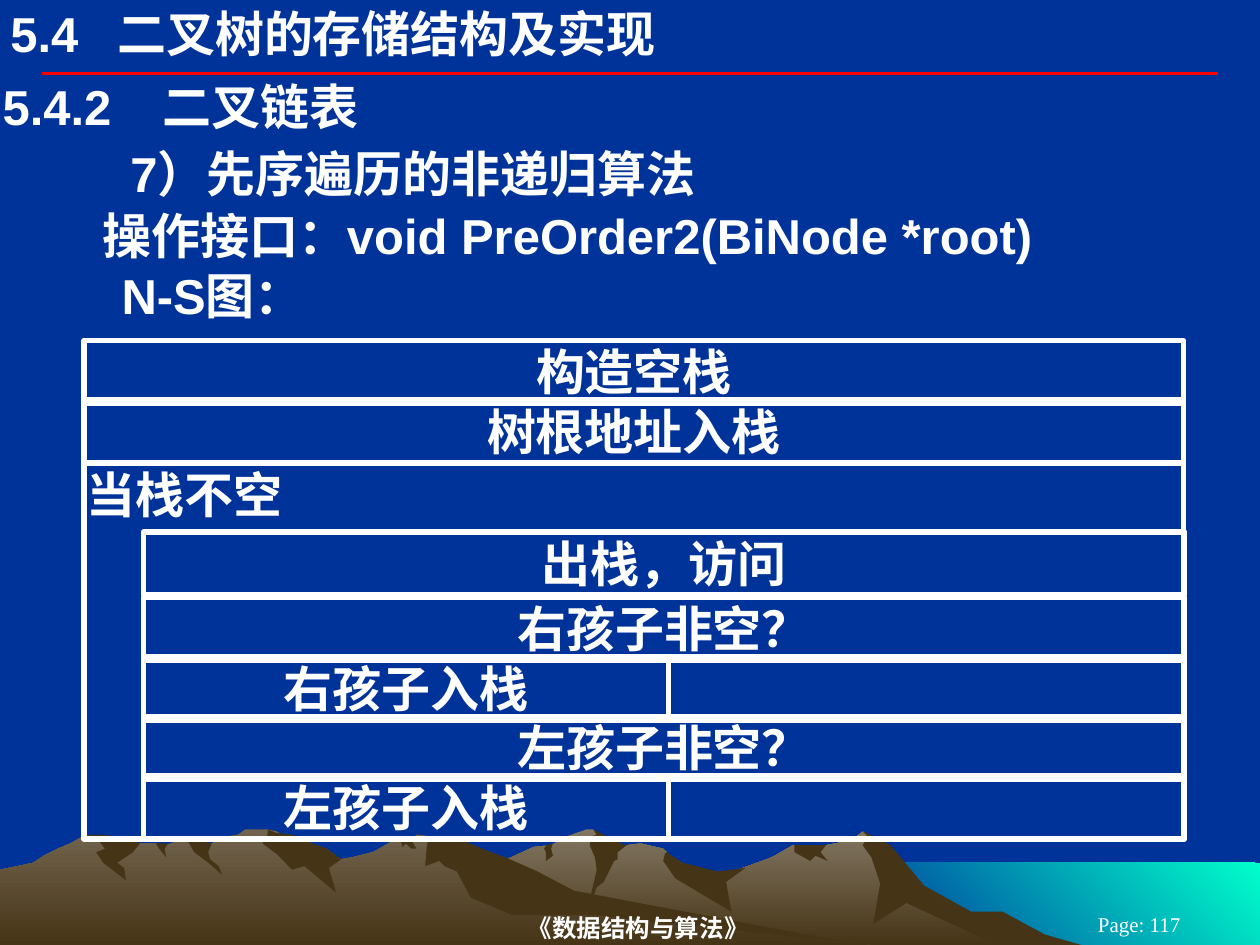
from lxml.etree import SubElement
from pptx import Presentation
from pptx.dml.color import RGBColor
from pptx.enum.shapes import MSO_CONNECTOR, MSO_SHAPE
from pptx.enum.text import MSO_ANCHOR, PP_ALIGN
from pptx.oxml.ns import qn
from pptx.util import Pt

NAVY = RGBColor(0x00, 0x33, 0x99)
AQUA = RGBColor(0x00, 0xFF, 0xCC)
WHITE = RGBColor(0xFF, 0xFF, 0xFF)
RED = RGBColor(0xFF, 0x00, 0x00)
BROWN = RGBColor(0x46, 0x34, 0x16)
STONE = RGBColor(0x83, 0x77, 0x63)
EARTH = RGBColor(0x72, 0x64, 0x4E)

EAST_MOUNTAIN = [
    (577, 533), (560, 523), (550, 521), (521, 503), (505, 483), (493, 475), (487, 480),
    (472, 483), (453, 483), (441, 490), (408, 502), (386, 497), (381, 487), (379, 485),
    (366, 482), (358, 483), (350, 485), (341, 476), (339, 474), (335, 474), (324, 478),
    (315, 483), (305, 484), (292, 490), (284, 493), (256, 503), (235, 510), (199, 532),
    (186, 540), (591, 540)]
EAST_SHADES = [
    [(573, 521), (555, 521), (528, 506), (509, 483), (493, 475), (496, 478), (493, 483),
     (498, 490), (503, 505), (499, 528), (518, 516), (570, 540), (618, 540), (597, 534)],
    [(339, 474), (341, 477), (338, 478), (337, 483), (340, 490), (341, 497), (335, 523),
     (341, 507), (345, 504), (351, 492), (353, 491), (353, 487), (358, 483), (355, 482)],
    [(381, 487), (380, 488), (379, 492), (386, 502), (418, 521), (415, 504), (426, 496),
     (410, 498), (390, 493)],
    [(468, 483), (454, 483), (454, 487), (463, 492), (466, 489), (473, 492), (469, 487),
     (472, 483)],
    [(312, 487), (311, 485), (312, 483), (316, 482), (315, 485), (316, 489), (312, 492)]]
WEST_MOUNTAIN = [
    (497, 540), (480, 539), (311, 513), (255, 479), (238, 477), (235, 481), (233, 481),
    (229, 478), (213, 487), (201, 490), (195, 491), (187, 487), (170, 490), (161, 477),
    (158, 475), (153, 474), (140, 474), (136, 477), (130, 478), (121, 482), (115, 483),
    (107, 480), (103, 480), (95, 483), (92, 483), (89, 482), (80, 482), (68, 483),
    (49, 477), (40, 482), (33, 485), (25, 489), (19, 493), (10, 495), (0, 497), (0, 540)]
WEST_SHADES = [
    [(153, 477), (150, 482), (158, 488), (167, 497), (174, 495), (192, 510), (188, 496),
     (195, 491), (187, 485), (176, 481), (167, 477), (158, 476), (153, 474)],
    [(266, 481), (255, 479), (248, 479), (244, 482), (243, 495), (251, 492), (254, 495),
     (261, 498), (269, 513), (293, 523), (340, 523), (497, 540), (492, 540), (328, 509),
     (307, 498), (289, 490), (278, 486)],
    [(229, 480), (230, 479), (229, 478), (235, 480), (238, 485), (235, 485), (232, 482),
     (230, 484)],
    [(111, 480), (121, 482), (119, 487), (120, 491), (125, 495), (127, 500), (119, 493),
     (111, 487), (107, 480)],
    [(96, 482), (94, 485), (95, 490), (91, 485), (89, 482)],
    [(78, 481), (80, 482), (76, 487), (67, 493), (71, 496), (72, 503), (59, 493),
     (55, 487), (60, 485), (57, 481), (50, 478), (50, 477), (60, 477)]]


class SlideBuilder:
    """Draws styled elements on one slide; all lengths are in points."""

    def __init__(self, slide):
        self.slide = slide
        slide.background.fill.solid()
        slide.background.fill.fore_color.rgb = NAVY

    def paint(self, shape, start, end=None, angle=0):
        """Fill with a plain colour, or a gradient at a clockwise angle."""
        shape.shadow.inherit = False
        shape.line.fill.background()
        if end is None:
            shape.fill.solid()
            shape.fill.fore_color.rgb = start
            return
        shape.fill.gradient()
        shape.fill.gradient_angle = 360 - angle
        for stop, color, position in zip(shape.fill.gradient_stops, (start, end), (0, 1)):
            stop.color.rgb = color
            stop.position = position

    def sea(self, left, top, width, height):
        shape = self.slide.shapes.add_shape(
            MSO_SHAPE.RECTANGLE, Pt(left), Pt(top), Pt(width), Pt(height))
        self.paint(shape, AQUA, NAVY, 135)

    def outline(self, points, start, end=None):
        corners = [(Pt(x), Pt(y)) for x, y in points]
        builder = self.slide.shapes.build_freeform(*corners[0])
        builder.add_line_segments(corners[1:], close=True)
        self.paint(builder.convert_to_shape(), start, end, 90)

    def mountain(self, points, shades, color):
        self.outline(points, color, BROWN)
        for shade in shades:
            self.outline(shade, BROWN)

    def rule(self, left, right, y):
        connector = self.slide.shapes.add_connector(
            MSO_CONNECTOR.STRAIGHT, Pt(left), Pt(y), Pt(right), Pt(y))
        connector.line.color.rgb = RED
        connector.line.width = Pt(2.25)
        SubElement(connector._element.spPr, qn("a:effectLst"))

    def set_text(self, shape, text, align, size=28, font="Arial", bold=True,
                 anchor=MSO_ANCHOR.TOP, indent=0, tab=None, right_inset=1.5):
        frame = shape.text_frame
        frame.word_wrap = True
        frame.vertical_anchor = anchor
        frame.margin_left, frame.margin_right = Pt(1.5), Pt(right_inset)
        frame.margin_top = frame.margin_bottom = Pt(0.7)
        paragraph = frame.paragraphs[0]
        paragraph.text = text
        paragraph.alignment = align
        properties = paragraph._p.get_or_add_pPr()
        if indent:
            properties.set("marL", str(Pt(indent)))
            properties.set("indent", "0")
        if tab:
            tabs = SubElement(properties, qn("a:tabLst"))
            SubElement(tabs, qn("a:tab"), pos=str(Pt(tab)), algn="l")
        paragraph.font.name = font
        paragraph.font.size = Pt(size)
        paragraph.font.bold = bold
        paragraph.font.color.rgb = WHITE

    def label(self, text, left, top, width, height, align=PP_ALIGN.LEFT, **style):
        box = self.slide.shapes.add_textbox(Pt(left), Pt(top), Pt(width), Pt(height))
        self.set_text(box, text, align, **style)

    def block(self, text, left, top, width, height=36, align=PP_ALIGN.CENTER):
        shape = self.slide.shapes.add_shape(
            MSO_SHAPE.RECTANGLE, Pt(left), Pt(top), Pt(width), Pt(height))
        shape.shadow.inherit = False
        shape.fill.background()
        shape.line.color.rgb = WHITE
        shape.line.width = Pt(3)
        if text:
            self.set_text(shape, text, align)


def main():
    presentation = Presentation()
    presentation.slide_width, presentation.slide_height = Pt(720), Pt(540)
    builder = SlideBuilder(presentation.slides.add_slide(presentation.slide_layouts[6]))

    builder.sea(492, 493, 228, 47)
    builder.mountain(EAST_MOUNTAIN, EAST_SHADES, STONE)
    builder.mountain(WEST_MOUNTAIN, WEST_SHADES, EARTH)
    builder.rule(24, 696, 42)

    footer = dict(align=PP_ALIGN.CENTER, font="Times New Roman", anchor=MSO_ANCHOR.MIDDLE)
    builder.label("《数据结构与算法》", 150, 520, 436, 20, size=14, right_inset=8, **footer)
    builder.label("Page: 117", 594, 522, 114, 12, size=12, bold=False, **footer)

    builder.label("5.4\t二叉树的存储结构及实现", 4.5, 1.5, 468, 34, tab=61)
    builder.label("5.4.2\t二叉链表", 0, 43, 720, 35, tab=91.5)
    builder.label("7）先序遍历的非递归算法", 3, 81.5, 717, 35, indent=70)
    builder.label("操作接口：void PreOrder2(BiNode *root)", 0, 116.5, 717, 35, indent=57)
    builder.label("N-S图：", 0, 151, 717, 35, indent=68)

    builder.block("构造空栈", 48, 194.5, 628.5)
    builder.block("树根地址入栈", 48, 228.5, 628.5)
    builder.block("当栈不空", 48, 264.5, 628.5, 215, PP_ALIGN.LEFT)

    loop_left, loop_width, branch_width = 82, 595, 300
    for text, top in (("出栈，访问", 304), ("右孩子非空？", 341.5), ("左孩子非空？", 409.5)):
        builder.block(text, loop_left, top, loop_width)
    for text, top in (("右孩子入栈", 375.5), ("左孩子入栈", 443.5)):
        builder.block(text, loop_left, top, branch_width)
        builder.block("", loop_left + branch_width, top, loop_width - branch_width)

    presentation.save("out.pptx")


if __name__ == "__main__":
    main()
